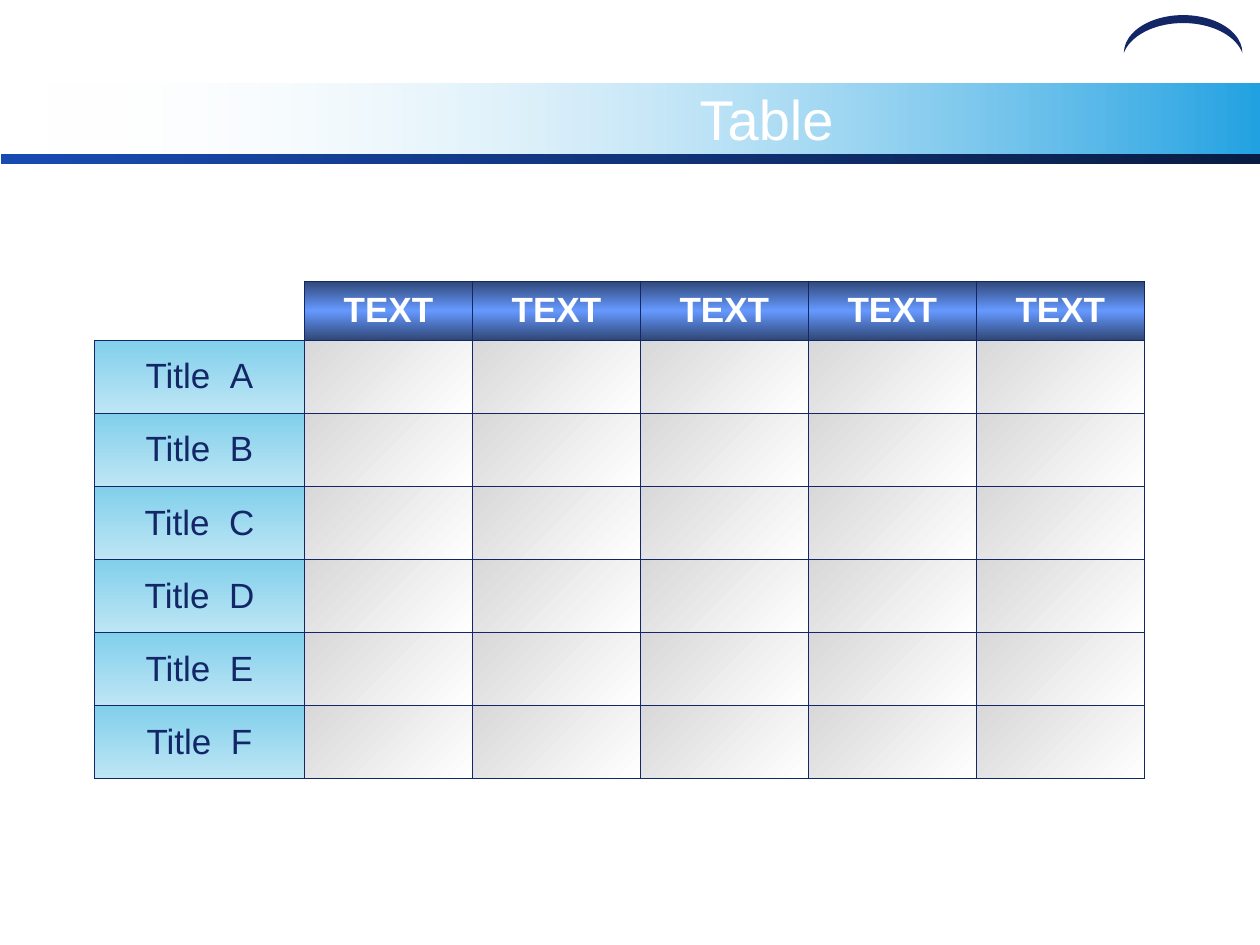
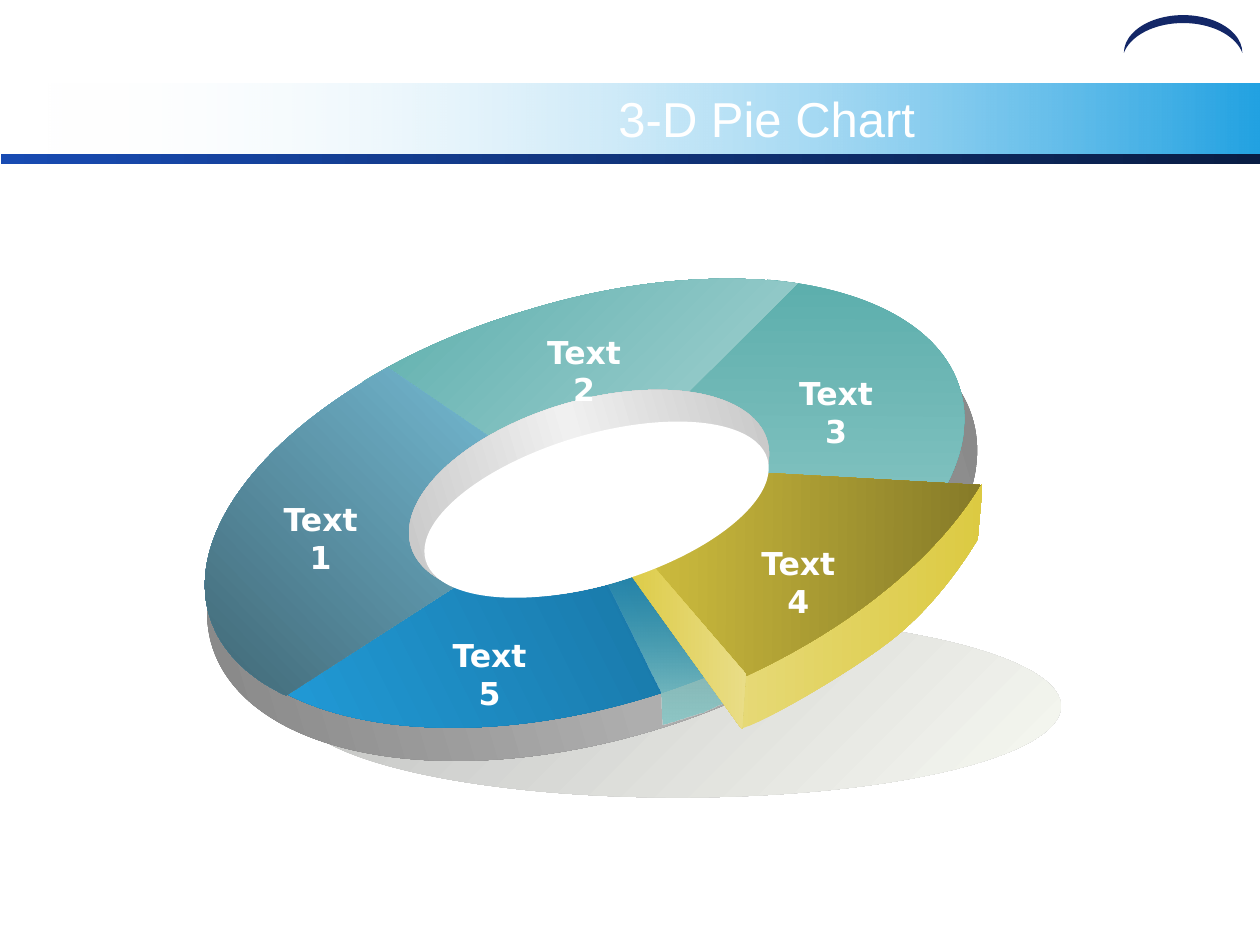
from math import cos, radians, sin

from lxml import etree
from pptx import Presentation
from pptx.dml.color import RGBColor
from pptx.enum.shapes import MSO_SHAPE
from pptx.enum.text import MSO_ANCHOR, MSO_AUTO_SIZE, PP_ALIGN
from pptx.oxml.ns import qn
from pptx.util import Inches, Pt

RECT, OVAL, MOON = MSO_SHAPE.RECTANGLE, MSO_SHAPE.OVAL, MSO_SHAPE.MOON
MIDDLE, CENTER, FIXED = MSO_ANCHOR.MIDDLE, PP_ALIGN.CENTER, MSO_AUTO_SIZE.NONE

UNIT = Inches(1)  # the slide is a grid of 10 columns by 7.5 rows
NAVY, WHITE = "132767", "FFFFFF"
TEAL, GOLD = "55ABA9", "DCCA42"
TILT = 343.4


def paint(fill, *stops, angle=0):
    """Fill with one colour or evenly spaced stops; "RRGGBB:n" is n% opaque, angle is clockwise."""
    if len(stops) == 1:
        fill.solid()
        fill.fore_color.rgb = RGBColor.from_string(stops[0])
        return
    fill.gradient()
    fill.gradient_angle = -angle % 360
    gs_list = fill.gradient_stops[0]._gs.getparent()
    for gs in list(gs_list):
        gs_list.remove(gs)
    for i, stop in enumerate(stops):
        color, _, opacity = stop.partition(":")
        gs = etree.SubElement(gs_list, qn("a:gs"), pos=str(100000 * i // (len(stops) - 1)))
        clr = etree.SubElement(gs, qn("a:srgbClr"), val=color)
        if opacity:
            etree.SubElement(clr, qn("a:alpha"), val=str(int(opacity) * 1000))


def write(tf, text, size=20, color=WHITE, bold=False, font="Arial", spacing=0):
    """Add a run to the first paragraph; spacing is extra points after each letter."""
    tf.word_wrap = True
    p = tf.paragraphs[0]
    p.alignment = CENTER
    r = p.add_run()
    r.text = text
    r.font.size, r.font.bold, r.font.name = Pt(size), bold, font
    paint(r.font.fill, color)
    if spacing:
        r.font._element.set("spc", str(int(spacing * 100)))


prs = Presentation()
prs.slide_width, prs.slide_height = 10 * UNIT, int(7.5 * UNIT)
layout = prs.slide_layouts[5]
title = layout.placeholders[0]
title.left, title.top, title.width, title.height = [
    int(v * UNIT) for v in (2.67, 0.67, 6.83, 0.53)]

slides = []
for text, size in (("Table", 32), ("3-D Pie Chart", 28)):
    s = prs.slides.add_slide(layout)
    tf = s.shapes.title.text_frame
    tf.auto_size, tf.vertical_anchor = FIXED, MIDDLE
    tf.margin_left = tf.margin_right = tf.margin_top = tf.margin_bottom = 0
    write(tf, text, size=size)
    slides.append(s)
table_slide, ring_slide = slides

# Header parts are moved to the layout, so that both slides share them
header_parts = (
    (RECT, (0.33, 0.66, 9.67, 0.59), 0, (WHITE + ":0", "22A2E2")),
    (RECT, (0.01, 1.22, 9.99, 0.08), 0, ("184BB2", "091D44")),
    (MOON, (9.24, -0.2, 0.3, 0.94), 90, (NAVY,)),
)
for i, (kind, at, rotation, stops) in enumerate(header_parts):
    sp = table_slide.shapes.add_shape(kind, *[int(v * UNIT) for v in at])
    sp.shadow.inherit = False
    sp.line.fill.background()
    sp.rotation = rotation
    if kind == MOON:
        sp.adjustments[0] = 0.21
    paint(sp.fill, *stops)
    layout.shapes._spTree.insert(2 + i, sp._element)

# Slide 1: table
COLS, ROW_TITLES = 5, "ABCDEF"
COL_W, ROW_H, HEAD_W, HEAD_H = 4 / 3, 0.58, 5 / 3, 0.47
table = table_slide.shapes.add_table(
    len(ROW_TITLES) + 1, COLS + 1, int(0.75 * UNIT), int(2.23 * UNIT),
    int((HEAD_W + COLS * COL_W) * UNIT), int((HEAD_H + len(ROW_TITLES) * ROW_H) * UNIT)).table
table.first_row = table.horz_banding = False
for i, col in enumerate(table.columns):
    col.width = int((COL_W if i else HEAD_W) * UNIT)
for i, row in enumerate(table.rows):
    row.height = int((ROW_H if i else HEAD_H) * UNIT)
    for j, cell in enumerate(row.cells):
        cell.vertical_anchor = MIDDLE
        for side in "LRTB" if i or j else "RB":
            ln = etree.SubElement(cell._tc.get_or_add_tcPr(), qn(f"a:ln{side}"), w=str(Pt(0.45)))
            border = etree.SubElement(ln, qn("a:solidFill"))
            etree.SubElement(border, qn("a:srgbClr"), val=NAVY)
        if i and j:
            paint(cell.fill, "D8D8D8", WHITE, angle=45)
        elif i:
            paint(cell.fill, "81CFEB", "BEE6F5", angle=90)
            for text, spacing in (("Title", 0), (" ", 5.56), (ROW_TITLES[i - 1], 0)):
                write(cell.text_frame, text, color=NAVY, spacing=spacing)
        elif j:
            paint(cell.fill, "2F4776", "6699FF", "2F4776", angle=90)
            write(cell.text_frame, "TEXT", bold=True)
        else:
            cell.fill.background()

# Slide 2: ring, back to front: box, rotation, outline, stops, gradient angle.
# An outline has its start, then points (x, y) and Bezier curves (two controls
# and an end), as they lie on the slide after rotation; without one it is an ellipse.
ring_parts = (
    ((2.34, 4.88, 6.08, 1.45), 0, None, ("C0C0C0", "F7F9F2"), 45),
    ((1.55, 2.57, 6.3, 3.3), TILT, None, ("808080", "AEAEAE", "808080"), 0),
    ((1.61, 2.4, 6.08, 3.2), TILT, None, ("2791BB", "000000"), 62),
    ((4.51, 2.27, 3.12, 2.15), TILT,
     ((6.09, 2.22), (6.91, 2.29, 7.48, 2.61, 7.62, 3.09),
      (7.71, 3.39, 7.62, 3.73, 7.37, 4.08), (4.63, 3.98)),
     (TEAL, "93CAC8"), 107),
    ((1.87, 4.32, 3.59, 1.61), TILT,
     ((1.77, 5.05), (2.18, 5.78, 3.62, 5.99, 5.12, 5.54),
      (5.29, 5.49, 5.45, 5.43, 5.61, 5.37), (4.66, 3.99)),
     ("18719E", "22A2E2"), 170),
    ((2.98, 2.32, 3.53, 1.55), TILT,
     ((2.88, 3.03), (3.27, 2.79, 3.71, 2.6, 4.19, 2.46),
      (4.94, 2.23, 5.7, 2.16, 6.33, 2.25), (4.63, 3.94)),
     (TEAL, "B7DBDB"), 62),
    ((1.5, 2.97, 3.12, 2.26), TILT,
     ((3.08, 2.92), (2.04, 3.49, 1.48, 4.26, 1.66, 4.88),
      (1.74, 5.15, 1.95, 5.37, 2.27, 5.52), (4.65, 3.99)),
     ("81CFEB", "3C606D"), 152),
    ((3.2, 3.18, 2.95, 1.47), TILT, None, ("C0C0C0", "F0F0F0", "C0C0C0"), 0),
    ((4.81, 4.57, 0.94, 1.18), 0,
     ((4.81, 4.6), (5.25, 5.49), (5.26, 5.75), (5.58, 5.65), (5.75, 5.57), (5, 4.57)),
     (TEAL + ":19", "8EC7C6"), 90),
    ((5.86, 3.84, 1.94, 1.94), 0,
     ((5.89, 5.38), (7.8, 3.84), (7.76, 4.28), (7.64, 4.48, 7.41, 4.81, 7.1, 5.06),
      (6.79, 5.31, 6.09, 5.72, 5.89, 5.78), (5.86, 5.64, 5.89, 5.38, 5.89, 5.38)),
     ("E6D976", GOLD), 0),
    ((4.83, 3.17, 2.98, 2.03), 342.3,
     ((7.78, 3.85), (7.41, 4.46, 6.69, 5.03, 5.8, 5.42), (4.6, 3.67)),
     (GOLD, "7F7426"), 18),
    ((4.91, 4.36, 1.01, 1.43), 0,
     ((5.92, 5.35), (5.89, 5.79), (4.91, 4.43), (5.07, 4.36)), (GOLD, "E9DD87"), 0),
    ((3.32, 3.45, 2.83, 1.19), TILT, None, (WHITE,), 0),
)
for (x, y, w, h), rotation, outline, stops, angle in ring_parts:
    left, top, width, height = [int(v * UNIT) for v in (x, y, w, h)]
    if outline:
        builder = ring_slide.shapes.build_freeform(left, top)
        builder.add_line_segments([(left + width, top + height)])
        sp = builder.convert_to_shape()
        pen = sp._element.find(".//" + qn("a:path"))
        for command in list(pen):
            pen.remove(command)
        turn = radians(-rotation)
        for i, segment in enumerate(outline):
            tag = "a:moveTo" if i == 0 else "a:lnTo" if len(segment) == 2 else "a:cubicBezTo"
            command = etree.SubElement(pen, qn(tag))
            for px, py in zip(segment[::2], segment[1::2]):
                dx, dy = px - x - w / 2, py - y - h / 2
                etree.SubElement(
                    command, qn("a:pt"),
                    x=str(int((w / 2 + dx * cos(turn) - dy * sin(turn)) * UNIT)),
                    y=str(int((h / 2 + dx * sin(turn) + dy * cos(turn)) * UNIT)))
        etree.SubElement(pen, qn("a:close"))
    else:
        sp = ring_slide.shapes.add_shape(OVAL, left, top, width, height)
    sp.rotation = rotation
    sp.shadow.inherit = False
    sp.line.fill.background()
    paint(sp.fill, *stops, angle=angle)

label_places = ((2.1, 3.92), (4.19, 2.59), (6.19, 2.92), (5.89, 4.27), (3.44, 5))
for i, (x, y) in enumerate(label_places, 1):
    box = ring_slide.shapes.add_textbox(
        int(x * UNIT), int(y * UNIT), int(0.89 * UNIT), int(0.4 * UNIT))
    write(box.text_frame, f"Text{i}", size=18, bold=True, font="DejaVu Sans")

prs.save("out.pptx")
